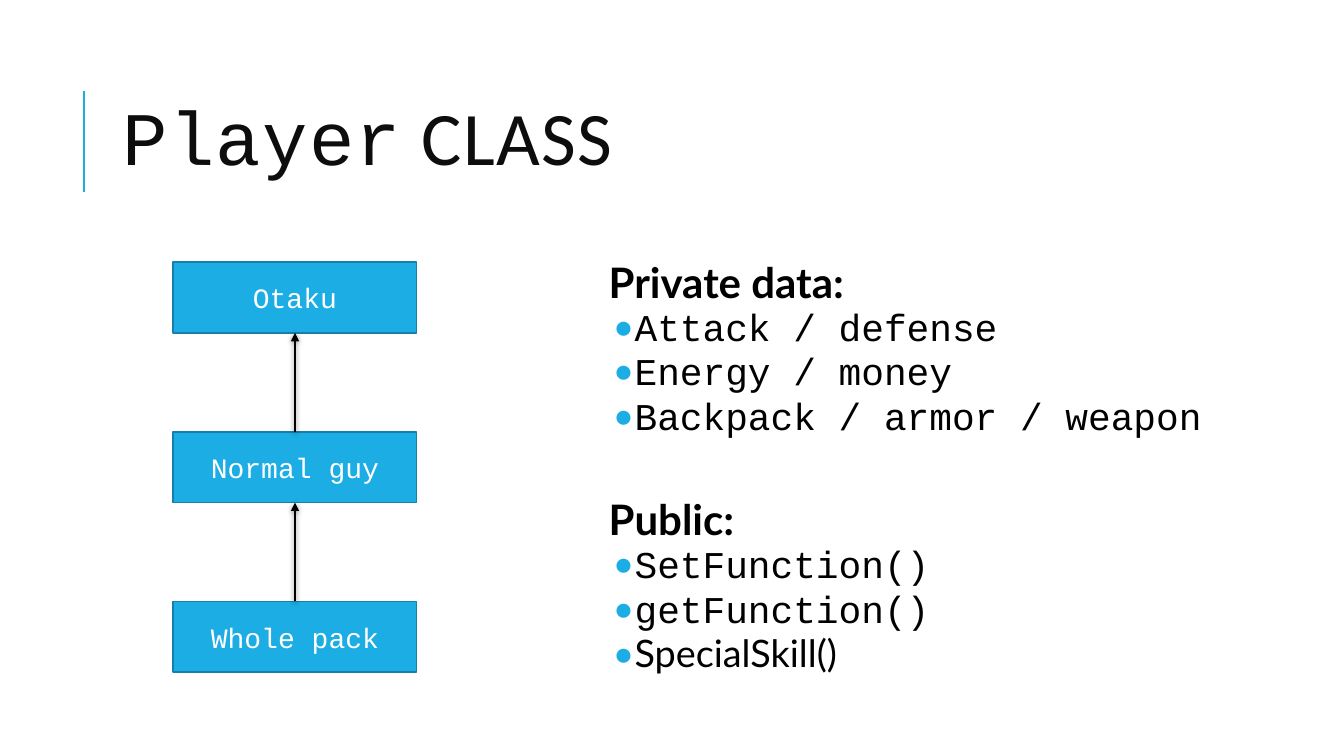
from lxml.etree import SubElement
from pptx import Presentation
from pptx.dml.color import RGBColor
from pptx.enum.shapes import MSO_CONNECTOR as CONNECTOR, MSO_SHAPE as SHAPE
from pptx.enum.text import MSO_ANCHOR as ANCHOR, PP_ALIGN as ALIGN
from pptx.oxml import parse_xml
from pptx.oxml.ns import nsdecls, qn
from pptx.util import Pt

ACCENT = "1CADE4"
MONO = "Courier New"


def color(value):
    return RGBColor.from_string(value)


def add_run(paragraph, text, font, size, fill, bold=False):
    run = paragraph.add_run()
    run.text = text
    run.font.name = font
    run.font.size = Pt(size)
    run.font.bold = bold
    run.font.color.rgb = color(fill)
    return run


presentation = Presentation()
presentation.slide_width = Pt(960)
presentation.slide_height = Pt(540)
slide = presentation.slides.add_slide(presentation.slide_layouts[6])
shapes = slide.shapes

# Accent rule beside the title
rule = shapes.add_connector(CONNECTOR.STRAIGHT, Pt(60), Pt(137), Pt(60), Pt(65))
rule.line.color.rgb = color(ACCENT)
rule.line.width = Pt(1.5)
SubElement(rule._element.spPr, qn("a:effectLst"))

# Title
title = shapes.add_textbox(Pt(80.6), Pt(60), Pt(850), Pt(85)).text_frame
title.word_wrap = True
title.vertical_anchor = ANCHOR.MIDDLE
paragraph = title.paragraphs[0]
paragraph.line_spacing = 0.8
for text, font in [("Player", MONO), (" CLASS", "Calibri")]:
    run = add_run(paragraph, text, font, 54, "0D0D0D")
    run.font._element.set("spc", "100")

# Class boxes, evenly stacked
box_left, box_top, box_width, box_height, box_step = 123.8, 187.2, 173.8, 50.6, 121.2
boxes = []
for index, name in enumerate(["Otaku", "Normal guy", "Whole pack"]):
    box = shapes.add_shape(SHAPE.RECTANGLE, Pt(box_left), Pt(box_top + index * box_step),
                           Pt(box_width), Pt(box_height))
    box.shadow.inherit = False
    box.fill.solid()
    box.fill.fore_color.rgb = color(ACCENT)
    box.line.color.rgb = color("1580A9")
    box.line.width = Pt(1.25)
    box.text_frame.vertical_anchor = ANCHOR.MIDDLE
    paragraph = box.text_frame.paragraphs[0]
    paragraph.alignment = ALIGN.CENTER
    add_run(paragraph, name, MONO, 20, "FFFFFF")
    boxes.append(box)

# Inheritance arrows from each box to the one above
for parent, child in zip(boxes, boxes[1:]):
    arrow = shapes.add_connector(CONNECTOR.STRAIGHT, 0, 0, 0, 0)
    arrow.begin_connect(child, 0)
    arrow.end_connect(parent, 2)
    arrow.line.color.rgb = color("000000")
    arrow.line.width = Pt(1.5)
    SubElement(arrow.line._get_or_add_ln(), qn("a:tailEnd"), type="triangle")
    arrow._element.spPr.append(parse_xml(
        f'<a:effectLst {nsdecls("a")}><a:outerShdw blurRad="{Pt(4)}" dist="{Pt(1)}" '
        'dir="5400000" rotWithShape="0"><a:srgbClr val="000000"><a:alpha val="50000"/>'
        '</a:srgbClr></a:outerShdw></a:effectLst>'))

# Member lists: heading, space above it, and (member, font) pairs
sections = [
    ("Private data:", 0, [("Attack / defense", MONO), ("Energy / money", MONO),
                          ("Backpack / armor / weapon", MONO)]),
    ("Public:", 43, [("SetFunction()", MONO), ("getFunction()", MONO),
                     ("SpecialSkill()", "Lato")]),
]
members = shapes.add_textbox(Pt(424), Pt(186.5), Pt(477.4), Pt(316.8)).text_frame
members.word_wrap = True
members.margin_left = members.margin_right = Pt(3.6)
members.margin_top = members.margin_bottom = Pt(3.6)
paragraph = members.paragraphs[0]
for heading, space_above, items in sections:
    if space_above:
        paragraph = members.add_paragraph()
    paragraph.line_spacing = 0.8
    paragraph.space_before = Pt(space_above)
    paragraph.space_after = Pt(2)
    paragraph._p.get_or_add_pPr().set("marL", str(Pt(7.2)))
    add_run(paragraph, heading, "Lato", 30, "000000", bold=True)
    for text, font in items:
        paragraph = members.add_paragraph()
        paragraph.line_spacing = 0.8
        paragraph.space_before = Pt(2)
        paragraph.space_after = Pt(4)
        properties = paragraph._p.get_or_add_pPr()
        properties.set("marL", str(Pt(20.9)))
        properties.set("indent", str(-Pt(10.8)))
        bullet_color = SubElement(properties, qn("a:buClr"))
        SubElement(bullet_color, qn("a:srgbClr"), val=ACCENT)
        SubElement(properties, qn("a:buFont"), typeface="Lato")
        SubElement(properties, qn("a:buChar"), char="•")
        add_run(paragraph, text, font, 27, "000000")

presentation.save("out.pptx")
